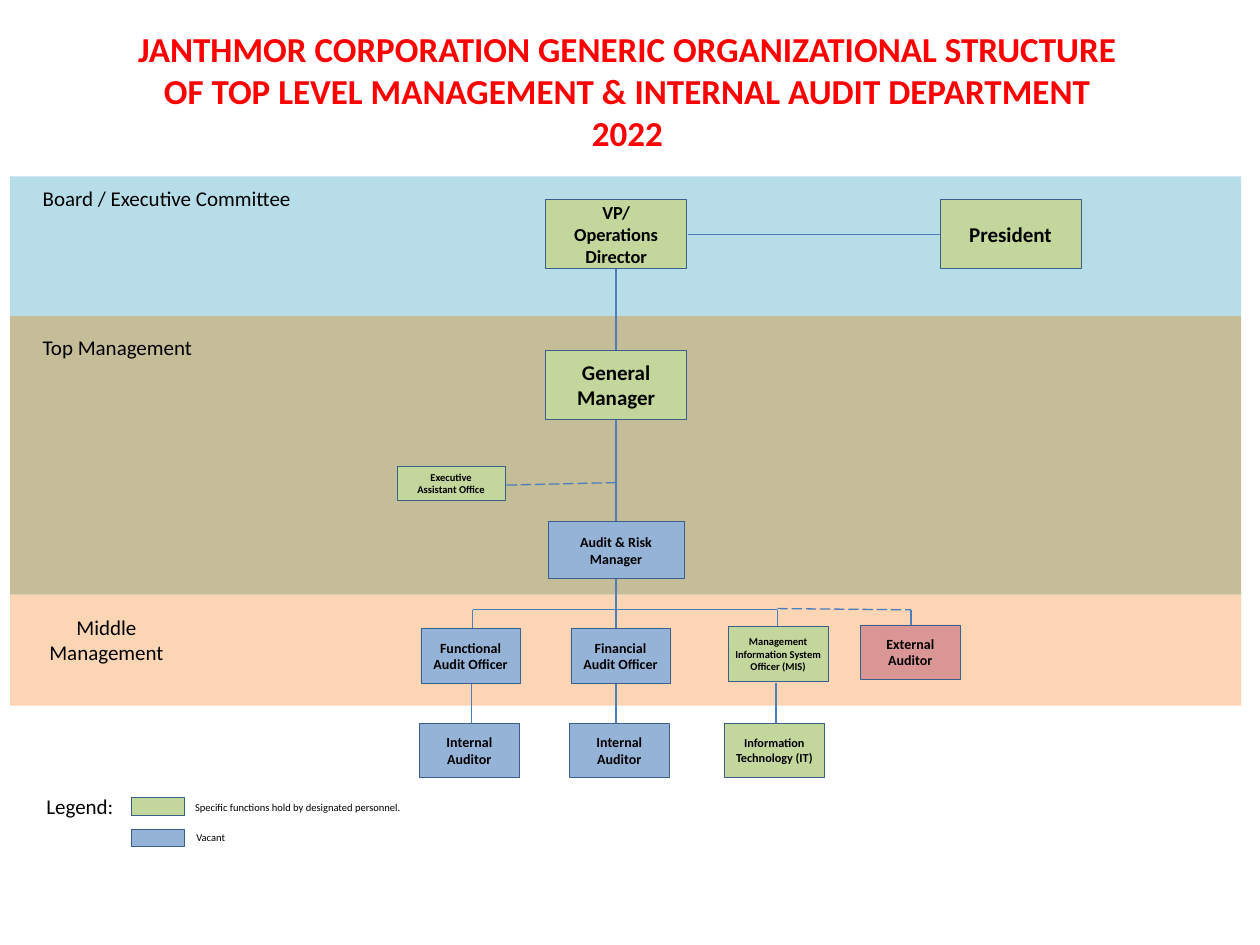
from dataclasses import dataclass

from lxml.etree import SubElement
from pptx import Presentation
from pptx.dml.color import RGBColor
from pptx.enum.dml import MSO_LINE
from pptx.enum.shapes import MSO_CONNECTOR, MSO_SHAPE
from pptx.enum.text import MSO_ANCHOR, PP_ALIGN
from pptx.oxml.ns import qn
from pptx.util import Inches, Pt

GREEN, BLUE, ROSE = "C3D69B", "95B3D7", "D99694"
BORDER, LINK, BLACK, RED = "3A5F8C", "4B7EBC", "000000", "FF0000"


@dataclass
class Band:
    top: float
    height: float
    fill: str


@dataclass
class Role:
    lines: list[str]
    left: float
    top: float
    width: float
    height: float
    fill: str
    size: float = 8
    inset: float = 0.07


@dataclass
class Label:
    lines: list[str]
    left: float
    top: float
    width: float
    height: float
    size: float = 12
    color: str = BLACK
    bold: bool = False
    align: PP_ALIGN = PP_ALIGN.LEFT


@dataclass
class Link:
    x1: float
    y1: float
    x2: float
    y2: float
    dashed: bool = False


BANDS = [
    Band(1.4, 1.11, "B7DEE8"),
    Band(4.72, 0.88, "FCD5B5"),
    Band(2.51, 2.21, "C4BD97"),
]

LINKS = [
    Link(4.89, 2.13, 4.89, 5.97),
    Link(5.46, 1.86, 7.46, 1.86),
    Link(4.02, 3.85, 4.89, 3.83, dashed=True),
    Link(3.75, 4.84, 6.17, 4.84),
    Link(6.17, 4.83, 7.23, 4.84, dashed=True),
    Link(3.75, 4.84, 3.75, 5.03),
    Link(6.17, 4.84, 6.17, 4.97),
    Link(7.23, 4.84, 7.23, 4.97),
    Link(3.74, 5.42, 3.74, 5.78),
    Link(6.16, 5.42, 6.16, 5.78),
]

ROLES = [
    Role(["VP/", "Operations Director"], 4.33, 1.58, 1.12, 0.55, GREEN, 10.5),
    Role(["President"], 7.46, 1.58, 1.12, 0.55, GREEN, 12),
    Role(["General", "Manager"], 4.33, 2.78, 1.12, 0.55, GREEN, 12),
    Role(["Executive", "Assistant Office"], 3.15, 3.7, 0.86, 0.27, GREEN, 6),
    Role(["Audit & Risk", "Manager"], 4.35, 4.14, 1.08, 0.45, BLUE),
    Role(["Functional Audit Officer"], 3.34, 4.99, 0.79, 0.43, BLUE),
    Role(["Financial Audit Officer"], 4.53, 4.99, 0.79, 0.43, BLUE),
    Role(["Management Information System", "Officer (MIS)"],
         5.78, 4.97, 0.79, 0.44, GREEN, 6, 0),
    Role(["External Auditor"], 6.83, 4.96, 0.79, 0.43, ROSE),
    Role(["Internal Auditor"], 3.33, 5.74, 0.79, 0.43, BLUE),
    Role(["Internal Auditor"], 4.52, 5.74, 0.79, 0.43, BLUE),
    Role(["Information", "Technology (IT)"], 5.75, 5.74, 0.79, 0.43, GREEN, 7),
    Role([], 1.04, 6.33, 0.42, 0.14, GREEN),
    Role([], 1.04, 6.58, 0.42, 0.14, BLUE),
]

LABELS = [
    Label(["JANTHMOR CORPORATION GENERIC ORGANIZATIONAL STRUCTURE "
           "OF TOP LEVEL MANAGEMENT & INTERNAL AUDIT DEPARTMENT 2022"],
          0.96, 0.17, 8.04, 1.11, 20, RED, True, PP_ALIGN.CENTER),
    Label(["Board / Executive Committee"], 0.24, 1.42, 2.26, 0.3),
    Label(["Top Management"], 0.24, 2.61, 1.43, 0.3),
    Label(["Middle", "Management"], 0.12, 4.83, 1.45, 0.5, align=PP_ALIGN.CENTER),
    Label(["Legend:"], 0.27, 6.25, 1.1, 0.3),
    Label(["Specific functions hold by designated personnel."],
          1.45, 6.31, 2.04, 0.2, 6),
    Label(["Vacant"], 1.46, 6.55, 2.04, 0.2, 6),
]


def rgb(value: str) -> RGBColor:
    return RGBColor.from_string(value)


def write(tf, lines: list[str], size: float, color: str, bold: bool, align) -> None:
    tf.word_wrap = True
    for i, line in enumerate(lines):
        p = tf.add_paragraph() if i else tf.paragraphs[0]
        p.text = line
        p.alignment = align
        p.font.name = "Calibri"
        p.font.size = Pt(size)
        p.font.bold = bold
        p.font.color.rgb = rgb(color)


def add_rect(s, left: float, top: float, width: float, height: float, fill: str):
    sp = s.shapes.add_shape(MSO_SHAPE.RECTANGLE, Inches(left), Inches(top),
                            Inches(width), Inches(height))
    sp.shadow.inherit = False
    sp.fill.solid()
    sp.fill.fore_color.rgb = rgb(fill)
    sp.line.fill.background()
    return sp


def add_role(s, role: Role) -> None:
    sp = add_rect(s, role.left, role.top, role.width, role.height, role.fill)
    sp.line.color.rgb = rgb(BORDER)
    sp.line.width = Pt(0.25)
    tf = sp.text_frame
    tf.margin_left = tf.margin_right = Inches(role.inset)
    tf.margin_top = tf.margin_bottom = Inches(0)
    tf.vertical_anchor = MSO_ANCHOR.MIDDLE
    write(tf, role.lines, role.size, BLACK, True, PP_ALIGN.CENTER)


def add_label(s, label: Label) -> None:
    sp = s.shapes.add_textbox(Inches(label.left), Inches(label.top),
                              Inches(label.width), Inches(label.height))
    write(sp.text_frame, label.lines, label.size, label.color, label.bold, label.align)


def add_link(s, link: Link) -> None:
    sp = s.shapes.add_connector(MSO_CONNECTOR.STRAIGHT, Inches(link.x1), Inches(link.y1),
                                Inches(link.x2), Inches(link.y2))
    sp.line.color.rgb = rgb(LINK)
    sp.line.width = Pt(0.75)
    if link.dashed:
        sp.line.dash_style = MSO_LINE.LONG_DASH
    SubElement(sp._element.spPr, qn("a:effectLst"))


def main() -> None:
    """Build the organizational chart slide."""
    prs = Presentation()
    prs.slide_width, prs.slide_height = Inches(10), Inches(7.5)
    s = prs.slides.add_slide(prs.slide_layouts[6])
    for band in BANDS:
        add_rect(s, 0.08, band.top, 9.77, band.height, band.fill)
    for link in LINKS:
        add_link(s, link)
    for role in ROLES:
        add_role(s, role)
    for label in LABELS:
        add_label(s, label)
    prs.save("out.pptx")


if __name__ == "__main__":
    main()
